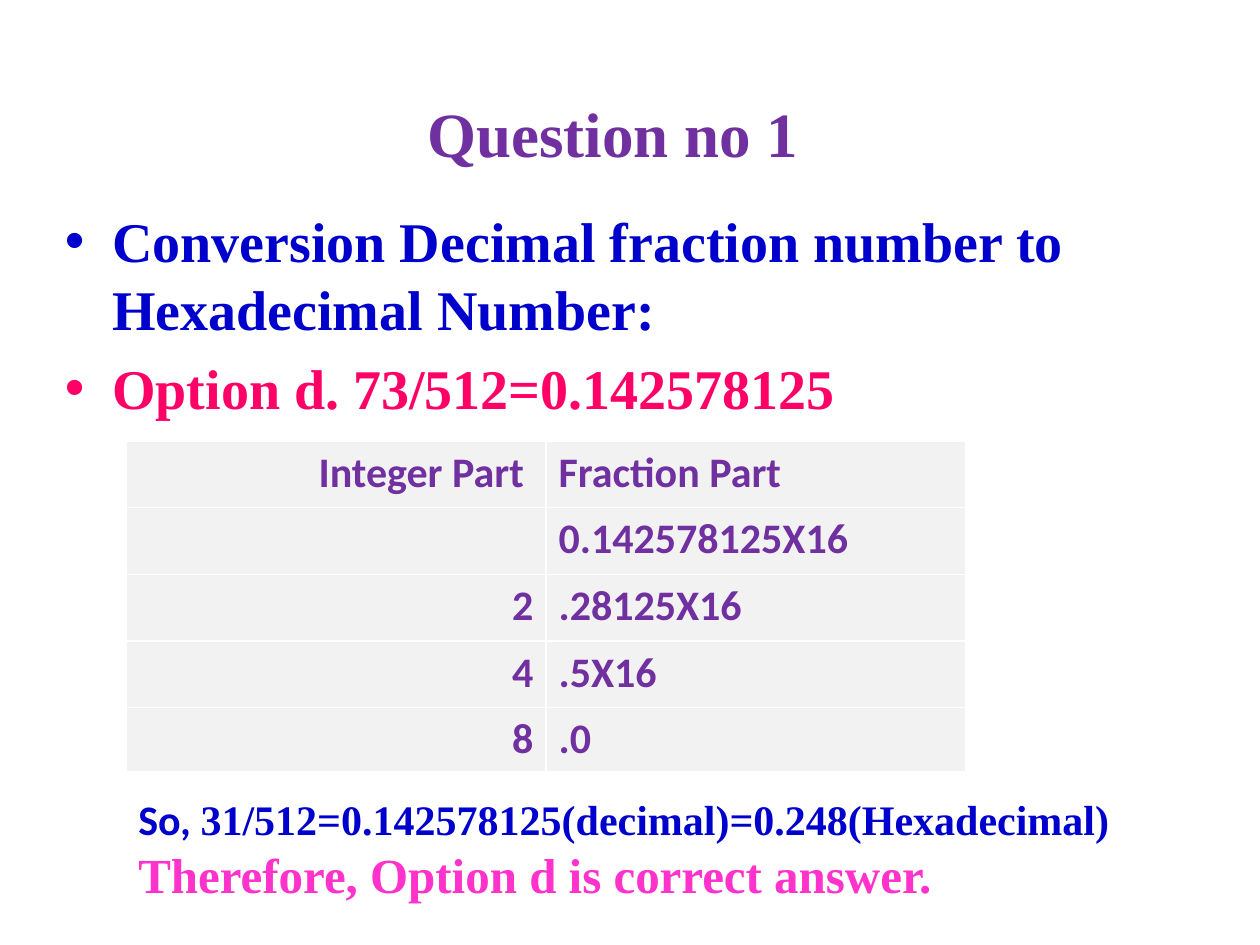
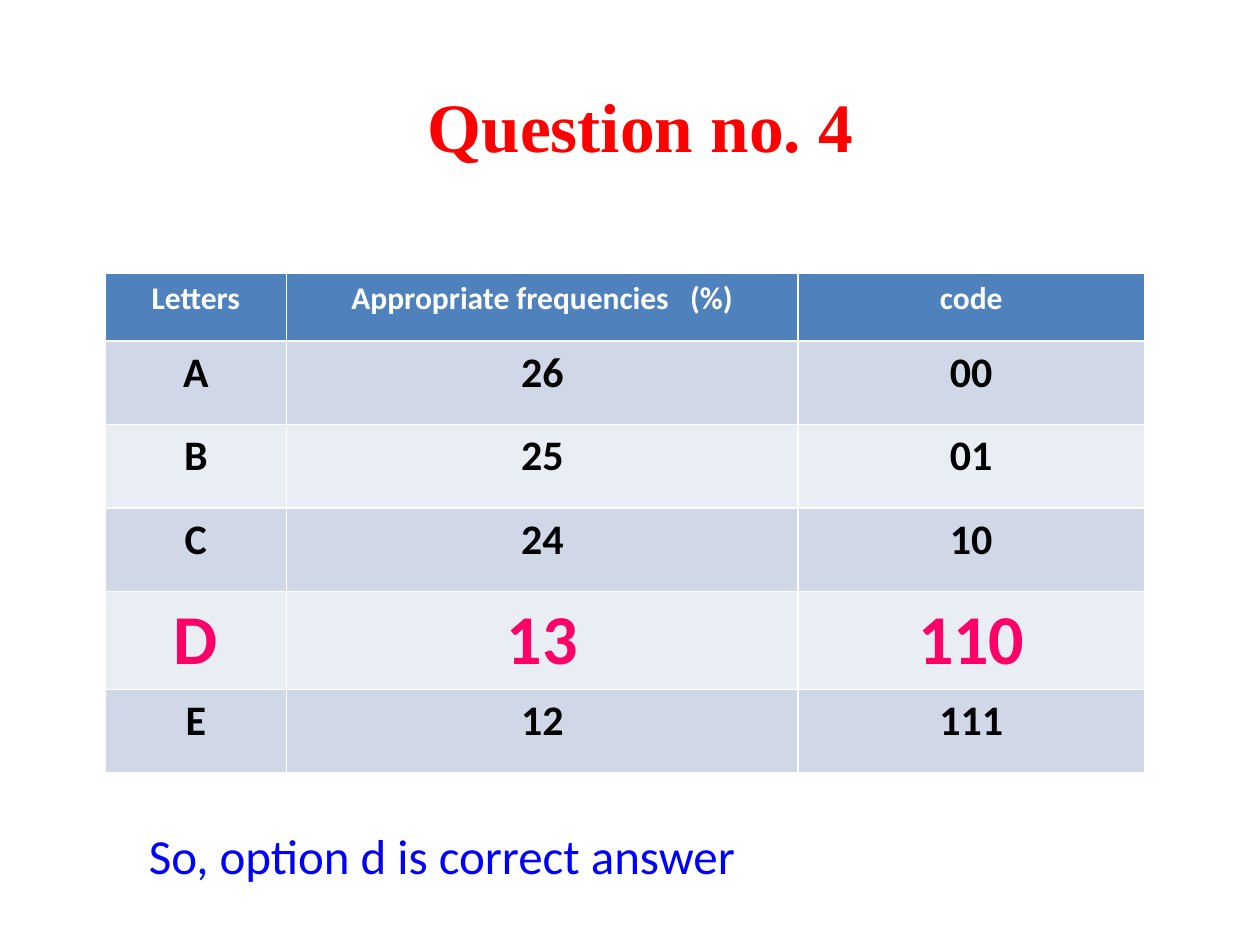
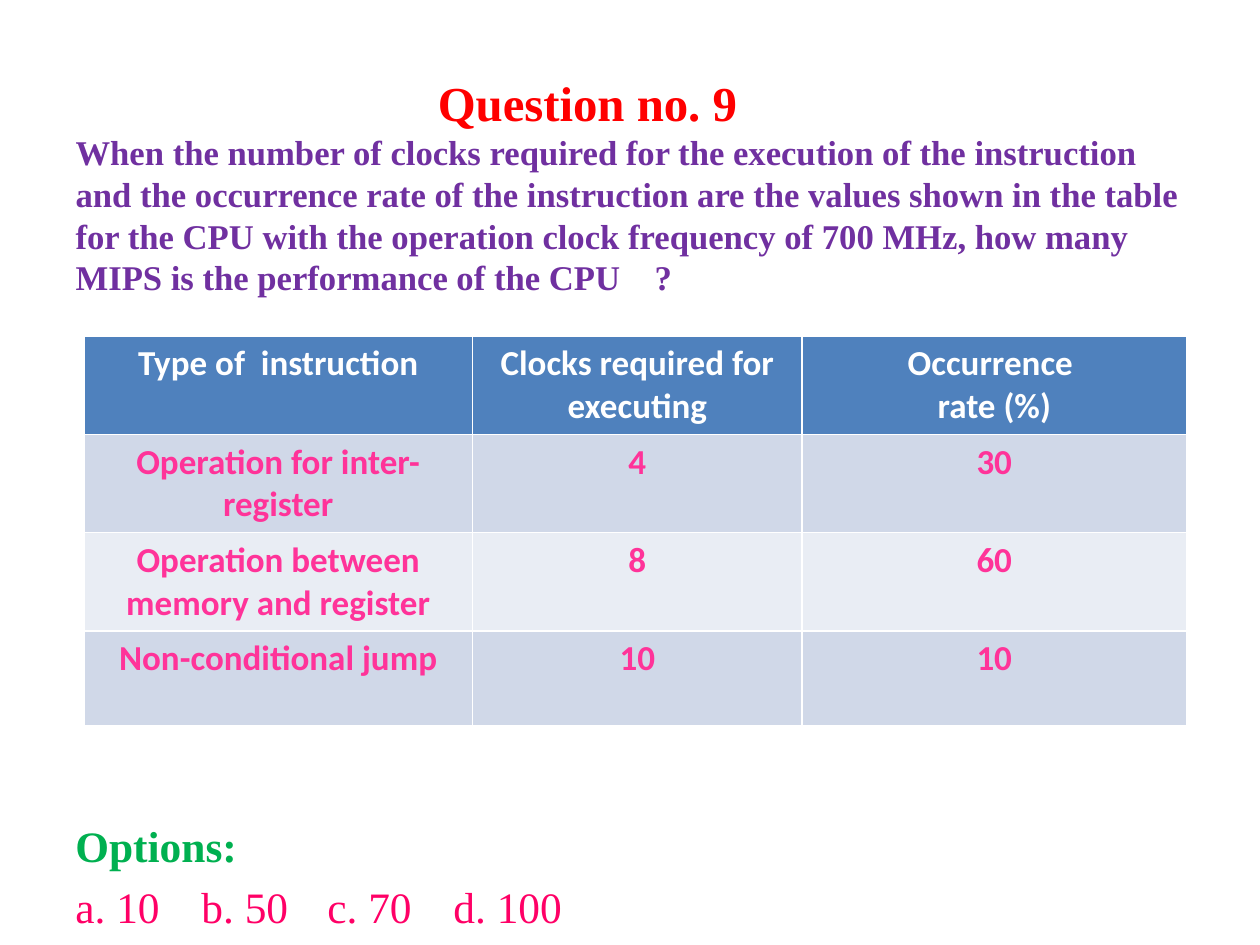
from dataclasses import dataclass
from typing import Optional

from lxml.etree import SubElement
from pptx import Presentation
from pptx.dml.color import RGBColor
from pptx.enum.text import MSO_ANCHOR as Anchor, MSO_AUTO_SIZE as AutoSize, PP_ALIGN as Align
from pptx.oxml.ns import qn
from pptx.util import Emu, Inches, Pt

COLUMNS, ROWS = 120, 90
SLIDE_WIDTH, SLIDE_HEIGHT = Inches(10), Inches(7.5)
TITLE_ONLY = 5
SERIF, SANS = "Times New Roman", "Calibri"
TITLE_INDENT = 34.5
BULLET_INDENT = 4.5
OPTION_STEP = 23.6

COLORS = {
    "purple": "7030A0",
    "navy": "0000CC",
    "blue": "0000FF",
    "red": "FF0000",
    "rose": "FF0066",
    "pink": "FF3399",
    "magenta": "FF33CC",
    "green": "00B050",
    "black": "000000",
    "white": "FFFFFF",
    "header": "4F81BD",
    "band_dark": "D0D8E8",
    "band_light": "E9EDF4",
    "pale": "F2F2F2",
}


@dataclass(frozen=True)
class Box:
    left: float
    top: float
    width: float
    height: float


@dataclass(frozen=True)
class Line:
    text: str
    size: float
    color: str
    font: str = SERIF
    bold: bool = True
    align: Align = Align.LEFT
    indent: float = 0
    bullet: bool = False
    leading: Optional[float] = None
    before: float = 0
    tab_step: float = 0
    sans_lead: str = ""


@dataclass(frozen=True)
class RowStyle:
    size: float
    color: str
    fill: str


@dataclass(frozen=True)
class Grid:
    left: float
    top: float
    columns: tuple[float, ...]
    heights: tuple[float, ...]
    cells: tuple[tuple[str, ...], ...]
    styles: tuple[RowStyle, ...]
    aligns: tuple[Align, ...]


def across(columns: float) -> Emu:
    return Emu(round(SLIDE_WIDTH * columns / COLUMNS))


def down(rows: float) -> Emu:
    return Emu(round(SLIDE_HEIGHT * rows / ROWS))


def set_font(font, size: float, color: str, bold: bool) -> None:
    font.size = Pt(size)
    font.bold = bold
    font.color.rgb = RGBColor.from_string(COLORS[color])


def write_line(paragraph, line: Line) -> None:
    properties = paragraph._p.get_or_add_pPr()
    properties.set("marL", str(across(line.indent)))
    properties.set("indent", str(-across(line.indent) if line.bullet else 0))
    if line.bullet:
        SubElement(properties, qn("a:buFont"), typeface="Arial")
        SubElement(properties, qn("a:buChar"), char="•")
    if line.tab_step:
        stops = SubElement(properties, qn("a:tabLst"))
        for stop in range(1, line.text.count("\t") + 1):
            SubElement(stops, qn("a:tab"), pos=str(across(stop * line.tab_step)), algn="l")
    paragraph.alignment = line.align
    paragraph.space_before = Pt(line.before)
    if line.leading:
        paragraph.line_spacing = Pt(line.leading)
    set_font(paragraph.font, line.size, line.color, line.bold)
    if line.sans_lead:
        for text, name in ((line.sans_lead, SANS), (line.text, line.font)):
            run = paragraph.add_run()
            run.text = text
            run.font.name = name
    else:
        paragraph.font.name = line.font
        paragraph.add_run().text = line.text


def write_lines(frame, lines: list[Line], anchor: Anchor) -> None:
    frame.word_wrap = True
    frame.auto_size = AutoSize.NONE
    frame.vertical_anchor = anchor
    for index, line in enumerate(lines):
        write_line(frame.add_paragraph() if index else frame.paragraphs[0], line)


def add_titled_slide(deck, box: Box, lines: list[Line], anchor: Anchor = Anchor.MIDDLE):
    slide = deck.slides.add_slide(deck.slide_layouts[TITLE_ONLY])
    title = slide.shapes.title
    title.left, title.top = across(box.left), down(box.top)
    title.width, title.height = across(box.width), down(box.height)
    write_lines(title.text_frame, lines, anchor)
    return slide


def add_text(slide, box: Box, lines: list[Line]) -> None:
    area = slide.shapes.add_textbox(
        across(box.left), down(box.top), across(box.width), down(box.height))
    write_lines(area.text_frame, lines, Anchor.TOP)


def add_grid(slide, grid: Grid) -> None:
    table = slide.shapes.add_table(
        len(grid.heights), len(grid.columns), across(grid.left), down(grid.top),
        across(sum(grid.columns)), down(sum(grid.heights))).table
    for column, width in zip(table.columns, grid.columns):
        column.width = across(width)
    for row, height, texts, style in zip(table.rows, grid.heights, grid.cells, grid.styles):
        row.height = down(height)
        for cell, text, align in zip(row.cells, texts, grid.aligns):
            cell.fill.solid()
            cell.fill.fore_color.rgb = RGBColor.from_string(COLORS[style.fill])
            cell.text = text
            for paragraph in cell.text_frame.paragraphs:
                paragraph.alignment = align
                set_font(paragraph.font, style.size, style.color, True)
                paragraph.font.name = SANS


def banded_styles(rows: int, header_size: float, body_size: float, color: str) -> list[RowStyle]:
    bands = ("band_dark", "band_light")
    body = [RowStyle(body_size, color, bands[row % 2]) for row in range(rows - 1)]
    return [RowStyle(header_size, "white", "header"), *body]


def build_conversion(deck) -> None:
    slide = add_titled_slide(deck, Box(5, 6.6, 108, 12), [
        Line("Question no 1", 36, "purple", indent=TITLE_INDENT)])
    add_text(slide, Box(5, 19, 111, 54), [
        Line("Conversion Decimal fraction number to Hexadecimal Number:", 32, "navy",
             indent=BULLET_INDENT, bullet=True, leading=38.9),
        Line("Option d. 73/512=0.142578125", 32, "rose",
             indent=BULLET_INDENT, bullet=True, leading=38.9, before=6)])
    cells = (
        ("Integer Part ", "Fraction Part"),
        ("", "0.142578125X16"),
        ("2", ".28125X16"),
        ("4", ".5X16"),
        ("8", ".0"),
    )
    add_grid(slide, Grid(
        12, 42, (40, 40), (6.35,) * 4 + (5.8,), cells,
        (RowStyle(24, "purple", "pale"),) * len(cells), (Align.RIGHT, Align.LEFT)))
    add_text(slide, Box(12, 75, 95, 15), [
        Line("31/512=0.142578125(decimal)=0.248(Hexadecimal)", 24, "navy", sans_lead="So, "),
        Line("Therefore, Option d is correct answer.", 28, "magenta")])


def build_letter_codes(deck) -> None:
    slide = add_titled_slide(deck, Box(7, 9.6, 108, 4.6), [
        Line("Question no. 4", 39.6, "red", align=Align.CENTER)])
    cells = (
        ("Letters", "Appropriate frequencies   (%)", "code"),
        ("A", "26", "00"),
        ("B", "25", "01"),
        ("C", "24", "10"),
        ("D", "13", "110"),
        ("E", "12", "111"),
    )
    styles = banded_styles(len(cells), 18, 24, "black")
    styles[4] = RowStyle(40, "rose", "band_light")
    add_grid(slide, Grid(
        10, 26, (17.3, 48.7, 33), (6.5, 7.95, 7.95, 7.95, 8.6, 7.95), cells,
        tuple(styles), (Align.CENTER,) * 3))
    add_text(slide, Box(13, 78, 91, 6.8), [
        Line("So, option d is correct answer", 28, "blue", font=SANS, bold=False)])


def build_performance(deck) -> None:
    question = (
        "When the number of clocks required for the execution of the instruction "
        "and the occurrence rate of the instruction are the values shown in the table "
        "for the CPU with the operation clock frequency of 700 MHz, how many "
        "MIPS is the performance of the CPU    ?")
    slide = add_titled_slide(deck, Box(6, 6.3, 108, 21), [
        Line("Question no. 9", 27.9, "red", indent=TITLE_INDENT),
        Line(question, 19.8, "purple", leading=23.8)], Anchor.TOP)
    add_text(slide, Box(6, 77.4, 109, 11.5), [
        Line("Options:", 24.8, "green", leading=30),
        Line("a. 10\tb. 50\tc. 70\td. 100", 24.8, "rose", bold=False,
             leading=30, before=5, tab_step=OPTION_STEP)])
    cells = (
        ("Type of  instruction", "Clocks required for executing", "Occurrence \nrate (%)"),
        ("Operation for inter-register", "4", "30"),
        ("Operation between memory and register", "8", "60"),
        ("Non-conditional jump", "10", "10"),
    )
    add_grid(slide, Grid(
        8, 32, (37, 31.4, 36.6), (9,) * len(cells), cells,
        tuple(banded_styles(len(cells), 20, 20, "pink")), (Align.CENTER,) * 3))


def main() -> None:
    deck = Presentation()
    deck.slide_width, deck.slide_height = SLIDE_WIDTH, SLIDE_HEIGHT
    build_conversion(deck)
    build_letter_codes(deck)
    build_performance(deck)
    deck.save("out.pptx")


if __name__ == "__main__":
    main()
